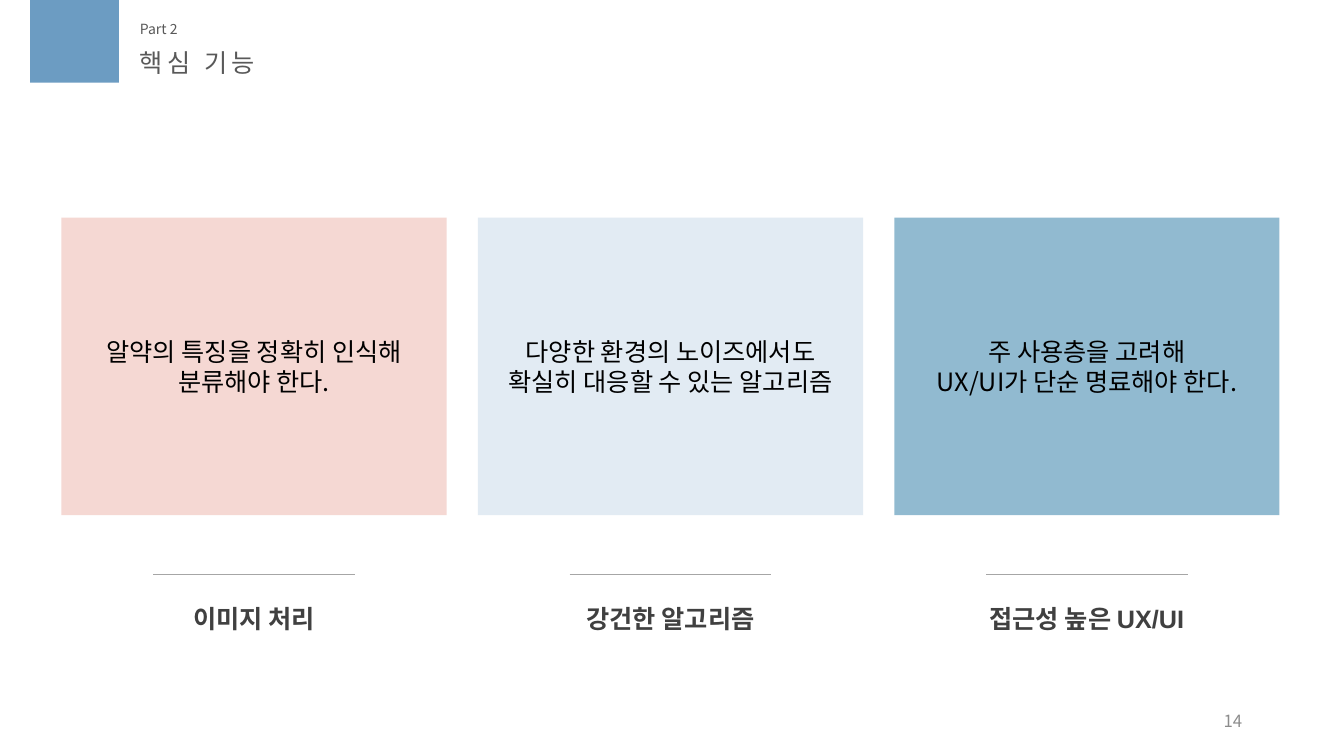
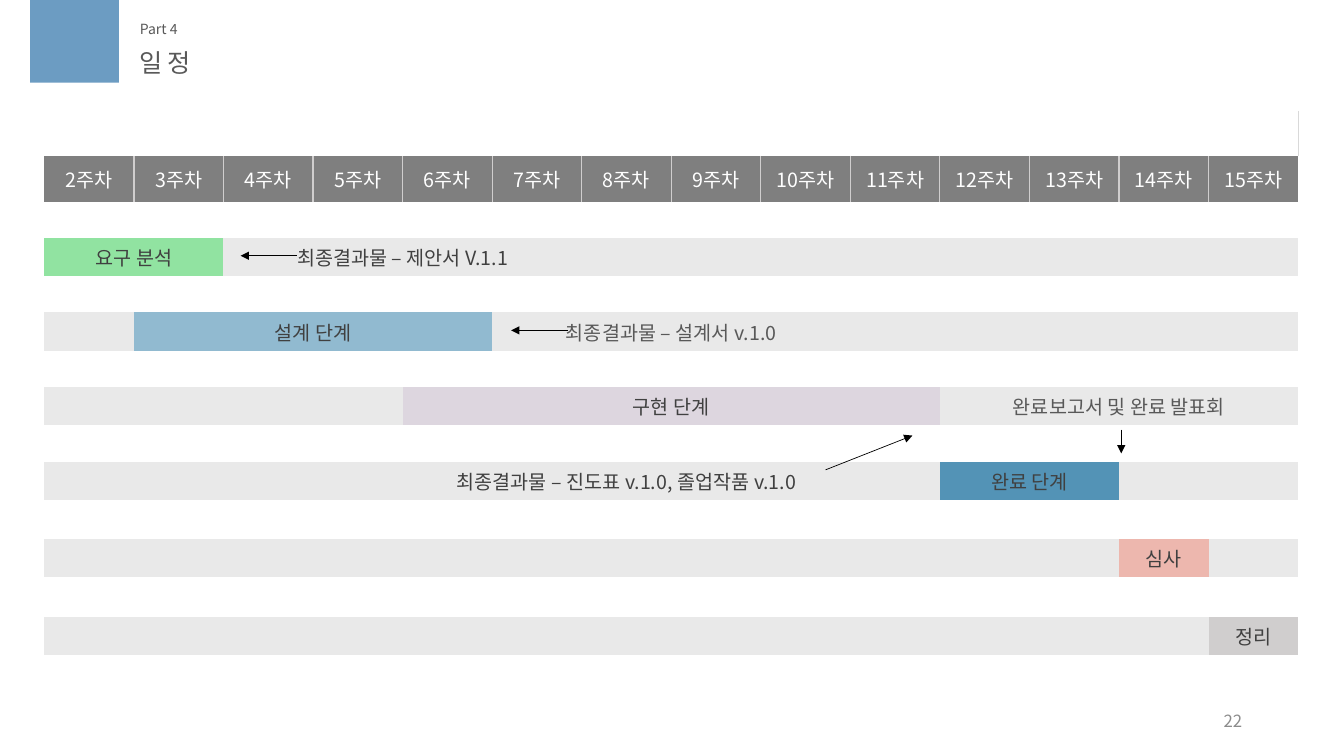
from collections import namedtuple
from pptx import Presentation, util as u
from pptx.dml.color import RGBColor
from pptx.enum import shapes, text
from pptx.oxml import ns
from lxml import etree

Box = namedtuple("Box", "left top width height")
SLIDE = Box(0, 0, 13.33, 7.5)
COLORS = {
    "accent": "6C9CC2", "muted": "595959", "dark": "404040", "black": "000000",
    "white": "FFFFFF", "number": "8C8C8C", "rule": "A6A6A6", "head": "7F7F7F",
    "head_edge": "D0CECE", "edge": "D9D9D9", "lane": "E9E9E9", "rose": "F5D8D3",
    "ice": "E2EBF3", "sky": "91BAD0", "green": "91E3A1", "lilac": "DDD6DF",
    "blue": "5393B6", "coral": "EDB7AE", "gray": "D0CECE",
}
NOTO = "Noto Sans CJK KR"
STYLES = {
    "part": {"size": u.Pt(10), "name": NOTO, "color": "muted"},
    "title": {"size": u.Pt(18), "name": NOTO, "color": "muted"},
    "number": {"size": u.Pt(12), "name": NOTO, "color": "number"},
    "card": {"size": u.Pt(18), "name": NOTO, "color": "black"},
    "label": {"size": u.Pt(18), "name": "Arial", "bold": True, "color": "dark"},
    "cell": {"size": u.Pt(14), "name": NOTO, "bold": False, "color": "dark"},
}
LEFT, CENTER, RIGHT = text.PP_ALIGN.LEFT, text.PP_ALIGN.CENTER, text.PP_ALIGN.RIGHT
TOP, MIDDLE = text.MSO_ANCHOR.TOP, text.MSO_ANCHOR.MIDDLE
NO_STYLE = "{2D5ABB26-0587-4C30-8999-92F81FD0307C}"

CARDS = [
    ("rose", ["알약의 특징을 정확히 인식해", "분류해야 한다."], "이미지 처리"),
    ("ice", ["다양한 환경의 노이즈에서도", "확실히 대응할 수 있는 알고리즘"], "강건한 알고리즘"),
    ("sky", ["주 사용층을 고려해", "UX/UI가 단순 명료해야 한다."], "접근성 높은 UX/UI"),
]
WEEKS = range(2, 16)
LANES = [
    [(0, 2, "요구 분석", "green", "dark"), (2, 4, "최종결과물 – 제안서 V.1.1", "lane", "dark")],
    [(1, 4, "설계 단계", "sky", "dark"), (5, 4, "최종결과물 – 설계서 v.1.0", "lane", "muted")],
    [(4, 6, "구현 단계", "lilac", "dark"), (10, 4, "완료보고서 및 완료 발표회", "lane", "muted")],
    [(4, 5, "최종결과물 – 진도표 v.1.0, 졸업작품 v.1.0", "lane", "dark"),
     (10, 2, "완료 단계", "blue", "dark")],
    [(12, 1, "심사", "coral", "dark")],
    [(13, 1, "정리", "gray", "dark")],
]
ROWS = [0.45, 0.45] + [0.36, 0.38] * 4 + [0.39, 0.38] * 2
ARROWS = [
    ((5.85, 1.24), (5.21, 1.24)), ((2.82, 0.24), (2.19, 0.24)),
    ((12.02, 2.57), (12.02, 2.89)), ((8.72, 3.11), (9.69, 2.65)),
]


def rgb(name):
    """Return a named colour."""
    return RGBColor.from_string(COLORS[name])


def inches(values):
    """Convert a series of lengths to inches."""
    return [u.Inches(value) for value in values]


def write(frame, lines, style, align=LEFT, anchor=TOP, color=None, spacing=None):
    """Fill a text frame with one paragraph per line."""
    frame.word_wrap = True
    frame.vertical_anchor = anchor
    for index, line in enumerate(lines):
        para = frame.add_paragraph() if index else frame.paragraphs[0]
        para.alignment = align
        span = para.add_run()
        span.text = line
        formats = dict(STYLES[style])
        span.font.color.rgb = rgb(color or formats["color"])
        formats.pop("color")
        for key, value in formats.items():
            setattr(span.font, key, value)
        props = span.font._element
        etree.SubElement(props, ns.qn("a:ea")).set("typeface", NOTO)
        if spacing:
            props.set("spc", str(spacing))


def add_text(page, box, lines, style, **options):
    """Place a text box."""
    write(page.shapes.add_textbox(*inches(box)).text_frame, lines, style, **options)


def add_panel(page, box, color):
    """Place a plain filled rectangle."""
    panel = page.shapes.add_shape(shapes.MSO_SHAPE.RECTANGLE, *inches(box))
    panel.shadow.inherit = False
    panel.fill.solid()
    panel.fill.fore_color.rgb = rgb(color)
    panel.line.fill.background()
    return panel


def add_line(page, start, end, color, arrow=False):
    """Draw a thin straight line, with an arrowhead if asked."""
    line = page.shapes.add_connector(shapes.MSO_CONNECTOR.STRAIGHT, *inches(start + end))
    line.line.color.rgb = rgb(color)
    line.line.width = u.Pt(0.5)
    if arrow:
        etree.SubElement(line.line._get_or_add_ln(), ns.qn("a:tailEnd")).set("type", "triangle")
    etree.SubElement(line._element.spPr, ns.qn("a:effectLst"))


def add_frame(page, box, part, title, number):
    """Place the accent block, headings and page number."""
    add_panel(page, Box(box.left + 0.3, box.top, 0.88, 0.82), "accent")
    left = box.left + 1.29
    add_text(page, Box(left, box.top + 0.15, 4, 0.27), [part], "part")
    add_text(page, Box(left, box.top + 0.42, 4, 0.4), [title], "title", spacing=300)
    add_text(page, Box(box.left + 9.42, box.top + 6.95, 3, 0.4), [number], "number",
             align=RIGHT, anchor=MIDDLE)


def add_card(page, box, color, lines, label):
    """Place a card with a rule and a label below it."""
    panel = add_panel(page, box, color)
    write(panel.text_frame, lines, "card", align=CENTER, anchor=MIDDLE)
    bottom = box.top + box.height
    middle = box.left + box.width / 2
    add_line(page, (middle - 1, bottom + 0.59), (middle + 1, bottom + 0.59), "rule")
    add_text(page, Box(box.left, bottom + 0.83, box.width, 0.4), [label], "label", align=CENTER)


def add_cards(page, box):
    """Lay the cards out in equal columns."""
    gap = 0.31
    width = (box.width - gap * (len(CARDS) - 1)) / len(CARDS)
    for index, card in enumerate(CARDS):
        left = box.left + index * (width + gap)
        add_card(page, Box(left, box.top, width, box.height), *card)


def paint(cell, color):
    """Fill a table cell."""
    cell.fill.solid()
    cell.fill.fore_color.rgb = rgb(color)


def add_edge(cell, side, color):
    """Add a border on one side of a table cell."""
    edge = etree.Element(ns.qn("a:ln" + side), w=str(u.Pt(1)))
    fill = etree.SubElement(edge, ns.qn("a:solidFill"))
    etree.SubElement(fill, ns.qn("a:srgbClr")).set("val", COLORS[color])
    cell._tc.get_or_add_tcPr().insert(0, edge)


def add_schedule(page, box):
    """Place the weekly schedule table and its arrows."""
    count = len(WEEKS)
    step = box.width / count
    holder = page.shapes.add_table(len(ROWS), count, *inches(box))
    table = holder.table
    table._tbl.tblPr.find(ns.qn("a:tableStyleId")).text = NO_STYLE
    for flag in ("first_row", "horz_banding"):
        setattr(table, flag, False)
    for column in table.columns:
        column.width = u.Inches(step)
    for row, height in zip(table.rows, ROWS):
        row.height = u.Inches(height)
    for cell in table.iter_cells():
        for side in ("left", "right", "top", "bottom"):
            setattr(cell, "margin_" + side, 0)
        cell.text_frame.paragraphs[0]._p.get_or_add_endParaRPr().set("sz", "1000")

    for column in (0, count - 1):
        add_edge(table.cell(0, column), "R", "edge")
    table.cell(0, 0).merge(table.cell(0, count - 1))
    for column, week in enumerate(WEEKS):
        cell = table.cell(1, column)
        paint(cell, "head")
        fill_cell(cell, f"{week}주차", "white")
        if column < count - 1:
            add_edge(cell, "R", "head_edge")
        if column:
            add_edge(cell, "L", "head_edge")
    for index, lane in enumerate(LANES):
        row = 3 + 2 * index
        for column in range(count):
            paint(table.cell(row, column), "lane")
        for start, length, label, color, ink in lane:
            cell = table.cell(row, start)
            if length > 1:
                cell.merge(table.cell(row, start + length - 1))
            paint(cell, color)
            fill_cell(cell, label, ink)

    lane_top, pitch = box.top + sum(ROWS[:3]), sum(ROWS[2:4])
    for ends in ARROWS:
        start, end = [(box.left + x * step, lane_top + y * pitch) for x, y in ends]
        add_line(page, start, end, "black", arrow=True)


def fill_cell(cell, label, color):
    """Write a centred label in a table cell."""
    cell.vertical_anchor = MIDDLE
    para = cell.text_frame.paragraphs[0]
    para._p.remove(para._p.find(ns.qn("a:endParaRPr")))
    write(cell.text_frame, [label], "cell", align=CENTER, anchor=None, color=color)


def main():
    """Build and save the deck."""
    deck = Presentation()
    deck.slide_width, deck.slide_height = inches(SLIDE[2:])
    contents = [
        ("Part 2", "핵심 기능", "14", add_cards, Box(0.61, 2.16, 12.08, 2.95)),
        ("Part 4", "일정", "22", add_schedule, Box(0.44, 1.1, 12.44, sum(ROWS))),
    ]
    for part, title, number, add_body, box in contents:
        page = deck.slides.add_slide(deck.slide_layouts[6])
        add_body(page, box)
        add_frame(page, SLIDE, part, title, number)
    deck.save("out.pptx")


if __name__ == "__main__":
    main()
